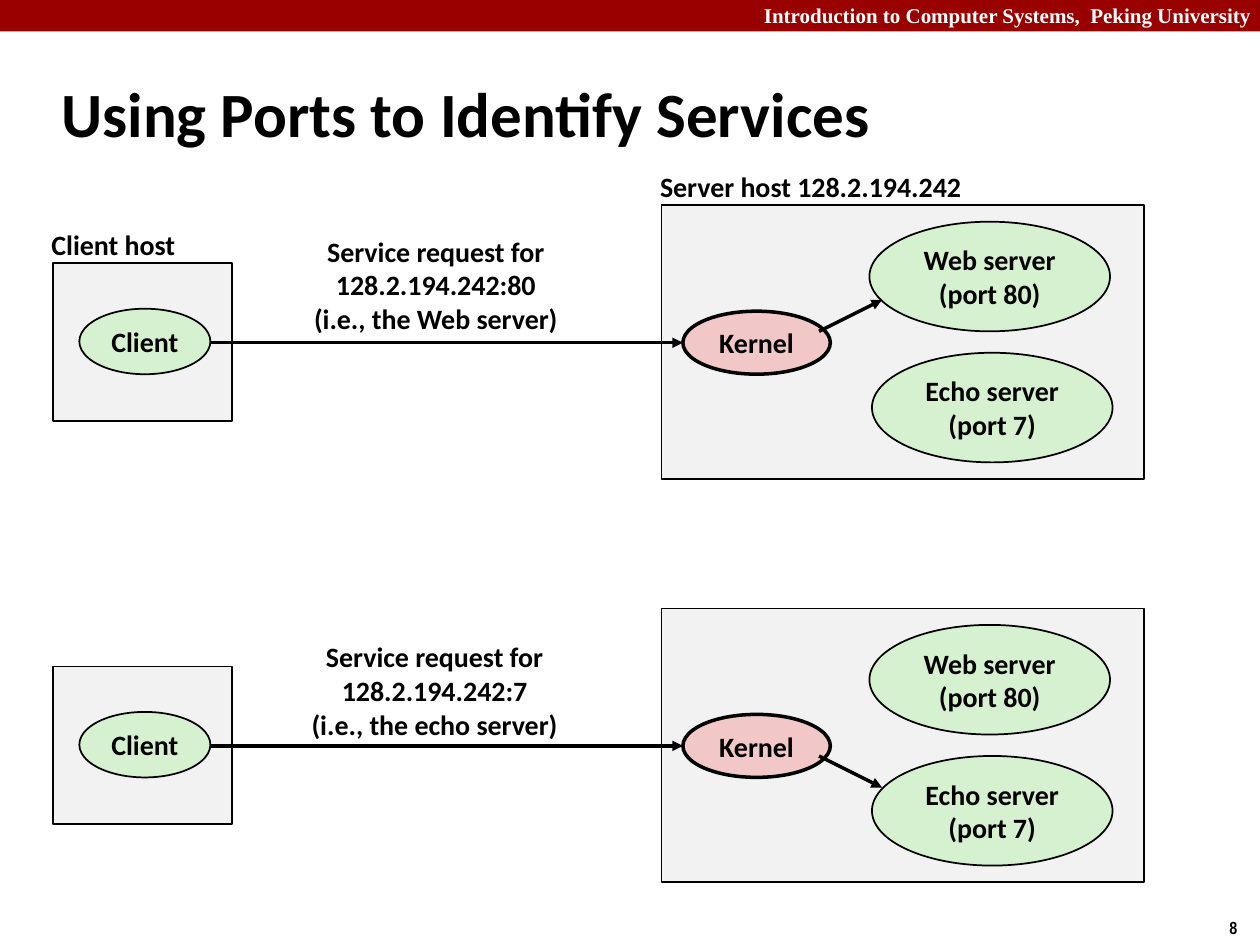
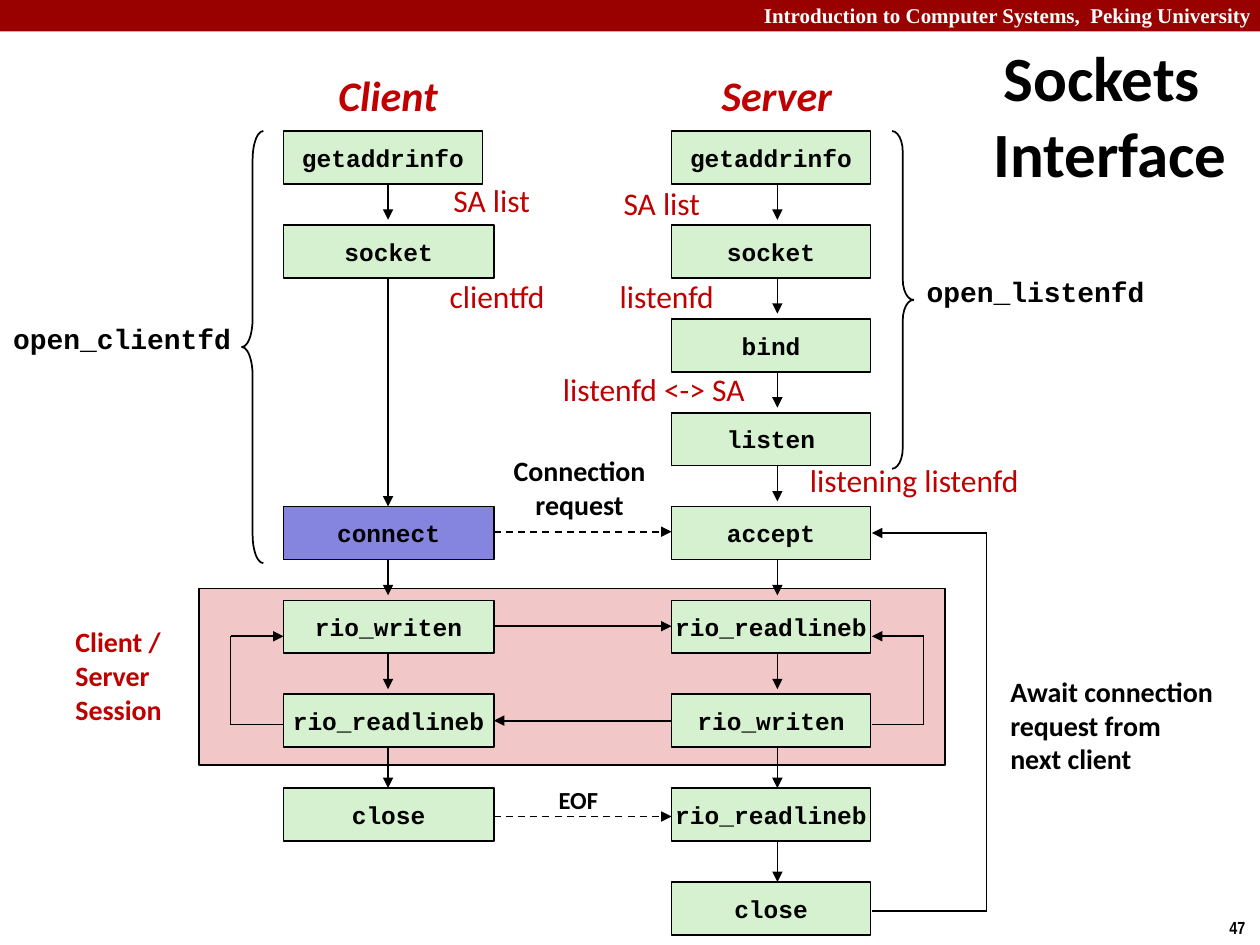
from lxml import etree
from pptx import Presentation
from pptx.dml.color import RGBColor
from pptx.enum.dml import MSO_LINE
from pptx.enum.shapes import MSO_CONNECTOR, MSO_SHAPE
from pptx.enum.text import MSO_ANCHOR, MSO_AUTO_SIZE, PP_ALIGN
from pptx.oxml.ns import qn
from pptx.util import Inches, Pt

RECT, OVAL = MSO_SHAPE.RECTANGLE, MSO_SHAPE.OVAL
LEFT_BRACE, RIGHT_BRACE = MSO_SHAPE.LEFT_BRACE, MSO_SHAPE.RIGHT_BRACE
STRAIGHT, DASH = MSO_CONNECTOR.STRAIGHT, MSO_LINE.DASH
LEFT, CENTER, RIGHT = PP_ALIGN.LEFT, PP_ALIGN.CENTER, PP_ALIGN.RIGHT
TOP, MIDDLE = MSO_ANCHOR.TOP, MSO_ANCHOR.MIDDLE
GROW, FIXED = MSO_AUTO_SIZE.SHAPE_TO_FIT_TEXT, MSO_AUTO_SIZE.NONE

BLACK = RGBColor(0x00, 0x00, 0x00)
WHITE = RGBColor(0xFF, 0xFF, 0xFF)
BAND_RED = RGBColor(0x99, 0x00, 0x00)
TEXT_RED = RGBColor(0xC0, 0x00, 0x00)
HOST_GRAY = RGBColor(0xF2, 0xF2, 0xF2)
GREEN = RGBColor(0xD5, 0xF1, 0xCF)
PINK = RGBColor(0xF1, 0xC7, 0xC7)
BLUE = RGBColor(0x85, 0x85, 0xE0)

SANS, MONO, SERIF, NARROW = "Calibri", "Courier New", "Times New Roman", "Arial Narrow"

COURSE = "Introduction to Computer Systems,  Peking University"

HOST_LABELS = [
    ("Client host", (0.31, 1.76, 1.19, 0.37)),
    ("Server host 128.2.194.242", (5.14, 1.3, 2.63, 0.37)),
]
HOSTS = [(0.42, 2.09, 1.42, 1.25), (5.25, 1.63, 3.83, 2.17)]
PROCESSES = [
    ("Client", (0.63, 2.45, 1.04, 0.52), GREEN, 1),
    ("Kernel", (5.42, 2.47, 1.17, 0.5), PINK, 2),
    ("Web server\n(port 80)", (6.9, 1.76, 1.91, 0.87), GREEN, 1),
    ("Echo server\n(port 7)", (6.92, 2.8, 1.91, 0.87), GREEN, 1),
]
REQUEST_ROUTE = [(1.67, 2.72), (5.42, 2.72)]
REQUESTS = [
    ("Service request for\n128.2.194.242:80\n(i.e., the Web server)",
     (2.01, 1.81, 2.9, 0.9), [(6.5, 2.63), (7, 2.38)]),
    ("Service request for\n128.2.194.242:7\n(i.e., the echo server)",
     (2.36, 1.83, 2.18, 0.9), [(6.5, 2.8), (7, 3.05)]),
]
REQUEST_STEP = 3.2

CLIENT_CALLS = {0: "getaddrinfo", 1: "socket", 4: "connect", 5: "rio_writen",
                6: "rio_readlineb", 7: "close"}
SERVER_CALLS = dict(enumerate([
    "getaddrinfo", "socket", "bind", "listen", "accept",
    "rio_readlineb", "rio_writen", "rio_readlineb", "close"]))
COLUMNS = [(CLIENT_CALLS, 2.25, 1.67, 3.08), (SERVER_CALLS, 5.33, 1.58, 6.17)]
CALL_TOP, CALL_STEP, CALL_HEIGHT, NARROW_CALL = 1.04, 0.745, 0.42, 1.58

SESSION = (1.58, 4.67, 5.92, 1.4)
ROUTES = [
    [(6.92, 5.75), (7.33, 5.75), (7.33, 5.05), (6.92, 5.05)],
    [(2.25, 5.75), (1.83, 5.75), (1.83, 5.05), (2.25, 5.05)],
    [(6.92, 7.23), (7.83, 7.23), (7.83, 4.23), (6.92, 4.23)],
    [(3.92, 4.97), (5.33, 4.97)],
    [(5.33, 5.72), (3.92, 5.72)],
]
DASHED_ROUTES = [[(3.92, y), (5.33, y)] for y in (4.22, 6.48)]
BRACES = [
    (RIGHT_BRACE, (7.08, 1.04, 0.17, 2.68), 0.96),
    (LEFT_BRACE, (1.92, 1.04, 0.17, 3.43), 1.33),
]
HEADINGS = [("Client", (2.58, 0.5, 1, 0.5)), ("Server", (5.62, 0.5, 1.09, 0.5))]
HELPERS = [
    ("open_listenfd", (7.25, 2.13, 1.94, 0.37)),
    ("open_clientfd", (0, 2.5, 1.94, 0.37)),
]
RESULTS = [
    ("listening listenfd", (6.33, 3.61, 1.92, 0.4)),
    ("SA list", (3.5, 1.39, 0.81, 0.4)),
    ("SA list", (4.85, 1.41, 0.81, 0.4)),
    ("clientfd", (3.47, 2.15, 0.99, 0.4)),
    ("listenfd", (4.82, 2.15, 0.96, 0.4)),
    ("listenfd <-> SA", (4.37, 2.89, 1.66, 0.4)),
]
REMARKS = [
    ("Client / Server\nSession", (0.5, 4.94, 0.92, 0.84),
     dict(color=TEXT_RED, wrap=True)),
    ("Connection\nrequest", (3.97, 3.55, 1.26, 0.64), dict(align=CENTER)),
    ("EOF", (4.33, 6.18, 0.52, 0.34), dict(align=CENTER, size=14)),
    ("Await connection\nrequest from\nnext client", (7.92, 5.3, 1.83, 0.91), {}),
]


def write(holder, text, *, size=16, font=SANS, color=BLACK, bold=True, italic=False,
          align=LEFT, anchor=TOP, wrap=False, fit=GROW, hanging=0):
    frame = holder.text_frame
    frame.text = text
    frame.word_wrap = wrap
    frame.auto_size = fit
    frame.vertical_anchor = anchor
    for paragraph in frame.paragraphs:
        paragraph.alignment = align
        if hanging:
            properties = paragraph._p.get_or_add_pPr()
            properties.set("marL", str(Inches(hanging)))
            properties.set("indent", str(-Inches(hanging)))
        for run in paragraph.runs:
            run.font.size = Pt(size)
            run.font.name = font
            run.font.bold = bold
            run.font.italic = italic
            run.font.color.rgb = color


def label(slide, text, box, **text_format):
    write(slide.shapes.add_textbox(*map(Inches, box)), text, **text_format)


def outline(slide, kind, box, fill=None, weight=1):
    shape = slide.shapes.add_shape(kind, *map(Inches, box))
    shape.shadow.inherit = False
    if fill is None:
        shape.fill.background()
    else:
        shape.fill.solid()
        shape.fill.fore_color.rgb = fill
    if weight:
        shape.line.color.rgb = BLACK
        shape.line.width = Pt(weight)
    else:
        shape.line.fill.background()
    return shape


def node(slide, kind, text, box, fill, weight=1, **text_format):
    write(outline(slide, kind, box, fill, weight), text,
          align=CENTER, anchor=MIDDLE, fit=FIXED, **text_format)


def route(slide, points, weight=1, dash=None):
    for start, end in zip(points, points[1:]):
        line = slide.shapes.add_connector(STRAIGHT, *map(Inches, start + end))
        line.line.color.rgb = BLACK
        line.line.width = Pt(weight)
        if dash:
            line.line.dash_style = dash
        etree.SubElement(line._element.spPr, qn("a:effectLst"))
    head = etree.SubElement(line.line._get_or_add_ln(), qn("a:tailEnd"))
    head.set("type", "triangle")


def shift(box, dy):
    return (box[0], box[1] + dy) + box[2:]


def start_slide(deck, number, title, box, align):
    slide = deck.slides.add_slide(deck.slide_layouts[6])
    outline(slide, RECT, (0, 0, 10, 0.25), BAND_RED, 0)
    label(slide, COURSE, (4.08, -0.03, 5.95, 0.3), size=12, font=SERIF,
          color=WHITE, align=RIGHT, wrap=True)
    label(slide, number, (9.66, 7.23, 0.34, 0.27), size=10, font=NARROW)
    label(slide, title, box, size=36, align=align, anchor=MIDDLE, wrap=True,
          fit=FIXED, hanging=0.13)
    return slide


def build_ports(deck):
    slide = start_slide(deck, "8", "Using Ports to Identify Services",
                        (0.39, 0.48, 8.3, 0.83), LEFT)
    for text, box in HOST_LABELS:
        label(slide, text, box)
    for index, (request, box, delivery) in enumerate(REQUESTS):
        dy = index * REQUEST_STEP
        for host in HOSTS:
            outline(slide, RECT, shift(host, dy), HOST_GRAY)
        for text, place, fill, weight in PROCESSES:
            node(slide, OVAL, text, shift(place, dy), fill, weight)
        for points in (REQUEST_ROUTE, delivery):
            route(slide, [shift(point, dy) for point in points], weight=2)
        label(slide, request, shift(box, dy), align=CENTER, wrap=True)


def call_y(row):
    return CALL_TOP + row * CALL_STEP


def build_sockets(deck):
    slide = start_slide(deck, "47", "Sockets Interface", (7.58, 0.25, 2.33, 1.31), CENTER)
    outline(slide, RECT, SESSION, PINK)
    for points in ROUTES:
        route(slide, points)
    for points in DASHED_ROUTES:
        route(slide, points, dash=DASH)
    for calls, left, width, axis in COLUMNS:
        rows = list(calls)
        for row, following in zip(rows, rows[1:]):
            gap = 0.04 if following == row + 1 and row < 6 else 0
            route(slide, [(axis, call_y(row) + CALL_HEIGHT),
                          (axis, call_y(following) - gap)])
        for row, call in calls.items():
            node(slide, RECT, call,
                 (left, call_y(row), width if row else NARROW_CALL, CALL_HEIGHT),
                 BLUE if call == "connect" else GREEN, size=14, font=MONO)
    for kind, box, curl in BRACES:
        outline(slide, kind, box).adjustments[0] = curl
    for text, box in HEADINGS:
        label(slide, text, box, size=24, color=TEXT_RED, italic=True,
              align=CENTER, anchor=MIDDLE)
    for text, box in HELPERS:
        label(slide, text, box, font=MONO, align=CENTER, anchor=MIDDLE)
    for text, box in RESULTS:
        label(slide, text, box, size=18, color=TEXT_RED, bold=False)
    for text, box, text_format in REMARKS:
        label(slide, text, box, anchor=MIDDLE, **text_format)


def main():
    deck = Presentation()
    deck.slide_width, deck.slide_height = Inches(10), Inches(7.5)
    build_ports(deck)
    build_sockets(deck)
    deck.save("out.pptx")


if __name__ == "__main__":
    main()
